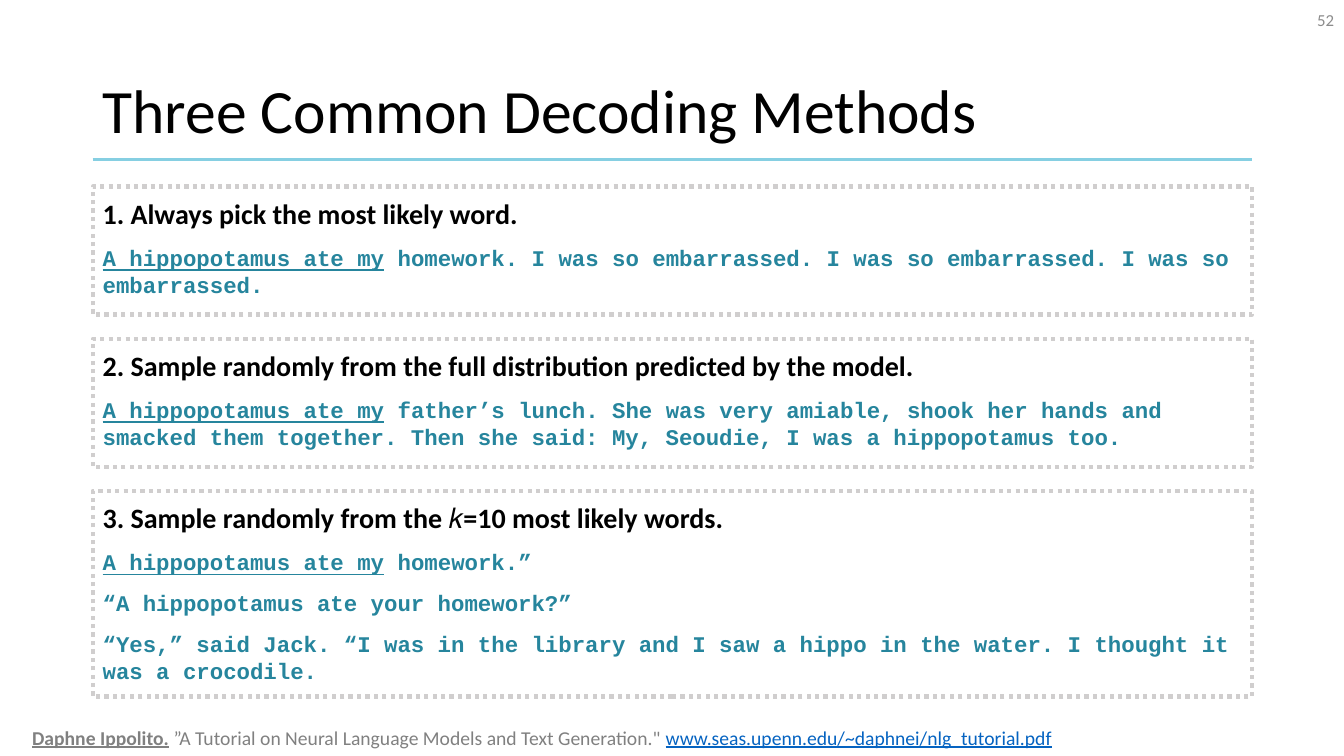
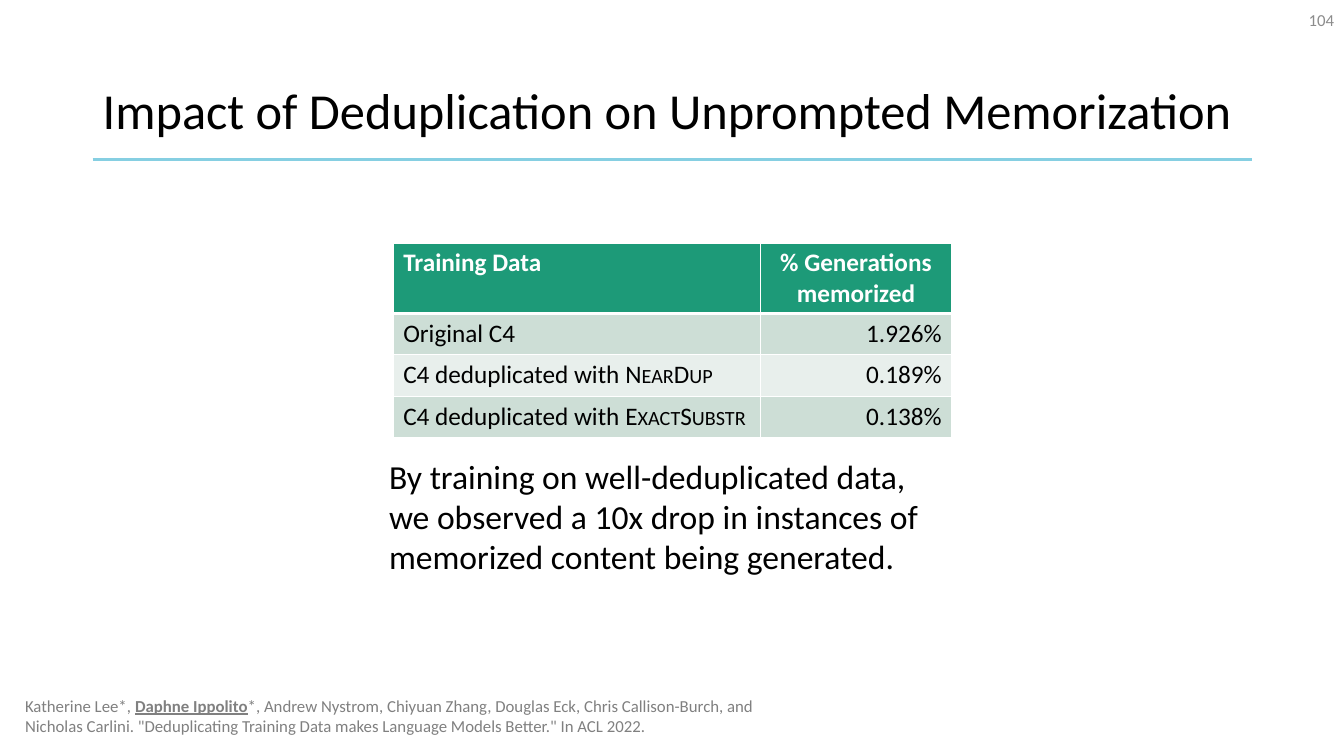
from lxml import etree
from pptx import Presentation
from pptx import util as u
from pptx.dml.color import RGBColor
from pptx.enum import dml, shapes, text
from pptx.oxml import ns

Inches, Pt = u.Inches, u.Pt
ALIGN = text.PP_ALIGN

# Palette and fonts
BLACK = RGBColor(0x00, 0x00, 0x00)
WHITE = RGBColor(0xFF, 0xFF, 0xFF)
RULE_BLUE = RGBColor(0x86, 0xCF, 0xE2)
SAMPLE_TEAL = RGBColor(0x26, 0x85, 0x9D)
FRAME_GRAY = RGBColor(0xD0, 0xCE, 0xCE)
NUMBER_GRAY = RGBColor(0x8C, 0x8C, 0x8C)
CITATION_GRAY = RGBColor(0x80, 0x80, 0x80)
LINK_BLUE = RGBColor(0x05, 0x63, 0xC1)
HEADER_GREEN = RGBColor(0x1D, 0x9A, 0x78)
BAND_COLORS = (RGBColor(0xCD, 0xDE, 0xD6), RGBColor(0xE8, 0xEF, 0xEC))
BODY_FONT, SAMPLE_FONT = "Calibri", "Courier New"

# Shared content column
LEFT, WIDTH = 0.92, 11.5


def add_run(paragraph, content, size=18, color=BLACK, font=BODY_FONT,
            bold=False, underline=False, small_caps=False):
    run = paragraph.add_run()
    run.text = content
    run.font.name = font
    run.font.size = Pt(size)
    run.font.color.rgb = color
    run.font.bold = bold
    run.font.underline = underline
    if small_caps:
        run._r.get_or_add_rPr().set("cap", "small")


def write(frame, content, align=ALIGN.LEFT, space_before=0, line_spacing=None, **style):
    """Write one paragraph; content is a string or (string, overrides) pairs."""
    first = not frame.paragraphs[0].runs
    paragraph = frame.paragraphs[0] if first else frame.add_paragraph()
    paragraph.alignment = align
    paragraph.space_before = Pt(0 if first else space_before)
    if line_spacing:
        paragraph.line_spacing = line_spacing
    pieces = [(content, {})] if isinstance(content, str) else content
    for piece, overrides in pieces:
        add_run(paragraph, piece, **{**style, **overrides})


def add_text(slide, box, content, anchor=text.MSO_ANCHOR.TOP, **style):
    frame = slide.shapes.add_textbox(*map(Inches, box)).text_frame
    frame.word_wrap = True
    frame.vertical_anchor = anchor
    write(frame, content, **style)


def add_base_slide(presentation, title, number, title_size):
    """Blank slide with the shared rule, title and page number."""
    slide = presentation.slides.add_slide(presentation.slide_layouts[6])
    rule = slide.shapes.add_connector(
        shapes.MSO_CONNECTOR.STRAIGHT,
        Inches(LEFT), Inches(1.58), Inches(LEFT + WIDTH), Inches(1.58))
    rule.line.color.rgb = RULE_BLUE
    rule.line.width = Pt(2)
    etree.SubElement(rule._element.spPr, ns.qn("a:effectLst"))
    middle = text.MSO_ANCHOR.MIDDLE
    add_text(slide, (LEFT, 0.4, WIDTH, 1.45), title, anchor=middle,
             size=title_size, line_spacing=0.9)
    add_text(slide, (10.33, 0, 3, 0.4), number, anchor=middle,
             align=ALIGN.RIGHT, size=12, color=NUMBER_GRAY)
    return slide


def add_method(slide, box, heading, samples):
    """Dotted frame with a heading and generated samples after the prompt."""
    frame_shape = slide.shapes.add_shape(shapes.MSO_SHAPE.RECTANGLE, *map(Inches, box))
    frame_shape.shadow.inherit = False
    frame_shape.fill.background()
    frame_shape.line.color.rgb = FRAME_GRAY
    frame_shape.line.width = Pt(3)
    frame_shape.line.dash_style = dml.MSO_LINE.ROUND_DOT
    frame = frame_shape.text_frame
    frame.word_wrap = True
    frame.vertical_anchor = text.MSO_ANCHOR.TOP
    frame.margin_left = frame.margin_right = Inches(0.1)
    frame.margin_top = frame.margin_bottom = Inches(0.1)
    write(frame, heading, size=20, bold=True)
    prompt = ("A hippopotamus ate my", {"underline": True})
    for content in ([prompt, (samples[0], {})], *samples[1:]):
        write(frame, content, space_before=10, size=16, bold=True,
              color=SAMPLE_TEAL, font=SAMPLE_FONT)


def set_borders(cell, bottom_width):
    properties = cell._tc.get_or_add_tcPr()
    for side, width in (("L", 1), ("R", 1), ("T", 1), ("B", bottom_width)):
        line = etree.SubElement(properties, ns.qn(f"a:ln{side}"), w=str(Pt(width)))
        fill = etree.SubElement(line, ns.qn("a:solidFill"))
        etree.SubElement(fill, ns.qn("a:srgbClr"), val=str(WHITE))


def fill_cell(cell, paragraphs, fill, bottom_width=1, **style):
    set_borders(cell, bottom_width)
    cell.fill.solid()
    cell.fill.fore_color.rgb = fill
    for content in paragraphs:
        write(cell.text_frame, content, **style)


def add_results_table(slide, box, rows):
    """Two-column table: training data and share of memorized generations."""
    header_height, column_width = 0.69, 3.64
    table = slide.shapes.add_table(len(rows) + 1, 2, *map(Inches, box)).table
    table.columns[0].width = Inches(column_width)
    table.columns[1].width = Inches(box[2] - column_width)
    table.rows[0].height = Inches(header_height)
    headers = ((["Training Data"], ALIGN.LEFT),
               (["% Generations", "memorized"], ALIGN.CENTER))
    for column, (paragraphs, align) in enumerate(headers):
        fill_cell(table.cell(0, column), paragraphs, HEADER_GREEN, bottom_width=3,
                  align=align, bold=True, color=WHITE)
    for row, (label, value) in enumerate(rows, start=1):
        table.rows[row].height = Inches((box[3] - header_height) / len(rows))
        band = BAND_COLORS[(row - 1) % 2]
        fill_cell(table.cell(row, 0), [label], band)
        fill_cell(table.cell(row, 1), [value], band, align=ALIGN.RIGHT)


def build_decoding_slide(presentation):
    slide = add_base_slide(presentation, "Three Common Decoding Methods", "52", 44)
    methods = (
        (1.27, "1. Always pick the most likely word.",
         [" homework. I was so embarrassed. I was so embarrassed. I was so embarrassed."]),
        (1.27, "2. Sample randomly from the full distribution predicted by the model.",
         [" father’s lunch. She was very amiable, shook her hands and smacked them "
          "together. Then she said: My, Seoudie, I was a hippopotamus too."]),
        (2.04, "3. Sample randomly from the 𝑘=10 most likely words.",
         [" homework.”",
          "“A hippopotamus ate your homework?”",
          "“Yes,” said Jack. “I was in the library and I saw a hippo in the water. "
          "I thought it was a crocodile."]),
    )
    top, gap = 1.85, 0.24
    for height, heading, samples in methods:
        add_method(slide, (LEFT, top, WIDTH, height), heading, samples)
        top += height + gap
    add_text(slide, (0.22, 7.15, 13, 0.34), [
        ("Daphne Ippolito.", {"bold": True, "underline": True}),
        (" ”A Tutorial on Neural Language Models and Text Generation.\" ", {}),
        ("www.seas.upenn.edu/~daphnei/nlg_tutorial.pdf",
         {"color": LINK_BLUE, "underline": True}),
    ], size=14, color=CITATION_GRAY)


def build_deduplication_slide(presentation):
    slide = add_base_slide(
        presentation, "Impact of Deduplication on Unprompted Memorization", "104", 36)
    small_caps = {"small_caps": True}
    add_results_table(slide, (3.9, 2.41, 5.54, 1.92), (
        ("Original C4", "1.926%"),
        ([("C4 deduplicated with ", {}), ("NearDup", small_caps)], "0.189%"),
        ([("C4 deduplicated with ", {}), ("ExactSubstr", small_caps)], "0.138%"),
    ))
    add_text(slide, (3.76, 4.47, 5.68, 1.31),
             "By training on well-deduplicated data, we observed a 10x drop in "
             "instances of memorized content being generated.", size=24)
    add_text(slide, (0.15, 6.85, 7.77, 0.5), [
        ("Katherine Lee*, ", {}),
        ("Daphne Ippolito", {"bold": True, "underline": True}),
        ("*, Andrew Nystrom, Chiyuan Zhang, Douglas Eck, Chris Callison-Burch, and "
         "Nicholas Carlini. \"Deduplicating Training Data makes Language Models "
         "Better.\" In ACL 2022.", {}),
    ], size=12, color=CITATION_GRAY)


def main():
    presentation = Presentation()
    presentation.slide_width = Inches(13.33)
    presentation.slide_height = Inches(7.5)
    build_decoding_slide(presentation)
    build_deduplication_slide(presentation)
    presentation.save("out.pptx")


if __name__ == "__main__":
    main()
